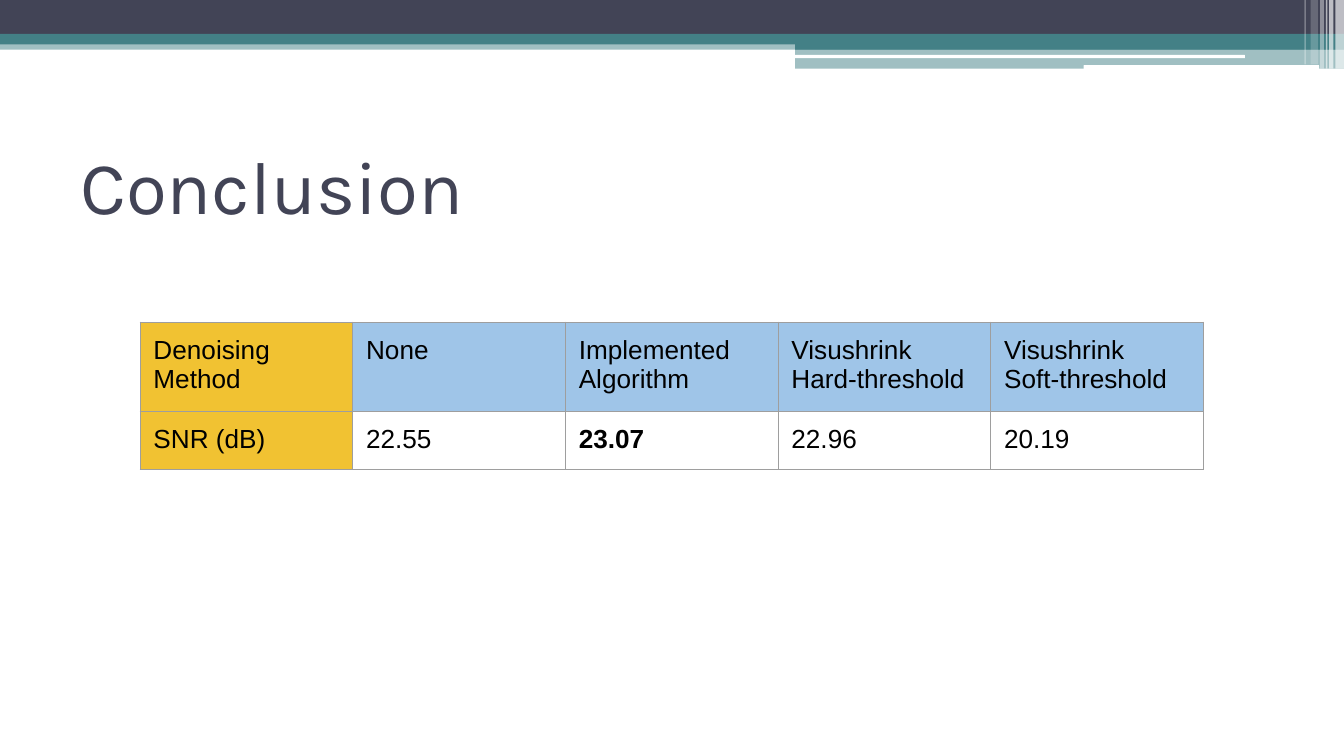
from lxml import etree
from pptx import Presentation
from pptx.dml.color import RGBColor
from pptx.enum.shapes import MSO_SHAPE
from pptx.enum.text import MSO_ANCHOR
from pptx.oxml.ns import qn
from pptx.util import Cm, Pt

RECT = MSO_SHAPE.RECTANGLE
ROUNDED = MSO_SHAPE.ROUNDED_RECTANGLE
MIDDLE = MSO_ANCHOR.MIDDLE

NAVY, TEAL, WHITE = "424456", "438086", "FFFFFF"
YELLOW, BLUE, GREY, BLACK = "F1C232", "9FC5E8", "9E9E9E", "000000"
INSET = Cm(0.25)


def paint(fill, color, opacity=100):
    """Fill with a hex colour; opacity is in percent."""
    fill.solid()
    fill.fore_color.rgb = RGBColor.from_string(color)
    if opacity < 100:
        color_node = fill._xPr.find(qn("a:solidFill"))[0]
        etree.SubElement(color_node, qn("a:alpha"), val=str(opacity * 1000))


def add_borders(cell):
    properties = cell._tc.get_or_add_tcPr()
    for position, side in enumerate(("a:lnL", "a:lnR", "a:lnT", "a:lnB")):
        line = etree.Element(qn(side), w=str(Pt(0.75)))
        solid = etree.SubElement(line, qn("a:solidFill"))
        etree.SubElement(solid, qn("a:srgbClr"), val=GREY)
        properties.insert(position, line)


prs = Presentation()
prs.slide_width, prs.slide_height = Cm(25.4), Cm(14.29)
slide = prs.slides.add_slide(prs.slide_layouts[6])

# Header bands, then the pale stripes at the right edge:
# shape, left, top, width, height, colour, opacity
header_parts = [
    (RECT, 0, 0.77, 25.4, 0.17, TEAL, 50),
    (RECT, 0, 0, 25.4, 0.64, NAVY, 100),
    (RECT, 0, 0.64, 25.4, 0.2, TEAL, 100),
    (RECT, 15.03, 0.77, 10.37, 0.17, TEAL, 100),
    (RECT, 15.03, 0.92, 10.37, 0.38, TEAL, 50),
    (ROUNDED, 15.02, 1.04, 8.51, 0.06, WHITE, 100),
    (ROUNDED, 20.48, 1.23, 4.45, 0.08, WHITE, 100),
    (RECT, 25.24, 0, 0.16, 1.3, WHITE, 65),
    (RECT, 25.12, 0, 0.08, 1.3, WHITE, 65),
    (RECT, 25.06, 0, 0.03, 1.3, WHITE, 60),
    (RECT, 24.95, 0, 0.07, 1.3, WHITE, 40),
    (RECT, 24.77, 0, 0.14, 1.22, WHITE, 20),
    (RECT, 24.65, 0, 0.03, 1.22, WHITE, 30),
]
for preset, left, top, width, height, color, opacity in header_parts:
    part = slide.shapes.add_shape(preset, Cm(left), Cm(top), Cm(width), Cm(height))
    part.shadow.inherit = False
    part.line.fill.background()
    paint(part.fill, color, opacity)

title = slide.shapes.add_textbox(Cm(1.27), Cm(2.39), Cm(22.86), Cm(2.21))
title_frame = title.text_frame
title_frame.word_wrap = True
title_frame.vertical_anchor = MIDDLE
title_frame.margin_left = title_frame.margin_right = INSET
title_frame.margin_top = title_frame.margin_bottom = INSET
title_frame.text = "Conclusion"
title_font = title_frame.paragraphs[0].runs[0].font
title_font.name, title_font.size = "Karla", Pt(40)
title_font.color.rgb = RGBColor.from_string(NAVY)

results = [
    ["Denoising Method", "None", "Implemented\nAlgorithm",
     "Visushrink\nHard-threshold", "Visushrink\nSoft-threshold"],
    ["SNR (dB)", "22.55", "23.07", "22.96", "20.19"],
]
best_value = "23.07"
row_heights = [1.61, 1.07]
column_width = 4.02

table = slide.shapes.add_table(
    len(results), len(results[0]), Cm(2.65), Cm(6.09),
    Cm(column_width * len(results[0])), Cm(sum(row_heights))).table
table.first_row = table.horz_banding = False
for column in table.columns:
    column.width = Cm(column_width)

for r, values in enumerate(results):
    table.rows[r].height = Cm(row_heights[r])
    for c, value in enumerate(values):
        cell = table.cell(r, c)
        cell.margin_left = cell.margin_right = INSET
        cell.margin_top = cell.margin_bottom = INSET
        if c == 0:
            paint(cell.fill, YELLOW)
        elif r == 0:
            paint(cell.fill, BLUE)
        else:
            cell.fill.background()
        add_borders(cell)
        cell.text_frame.text = value
        for paragraph in cell.text_frame.paragraphs:
            font = paragraph.runs[0].font
            font.name, font.size = "Arial", Pt(14)
            font.bold = value == best_value
            font.color.rgb = RGBColor.from_string(BLACK)

prs.save("out.pptx")
